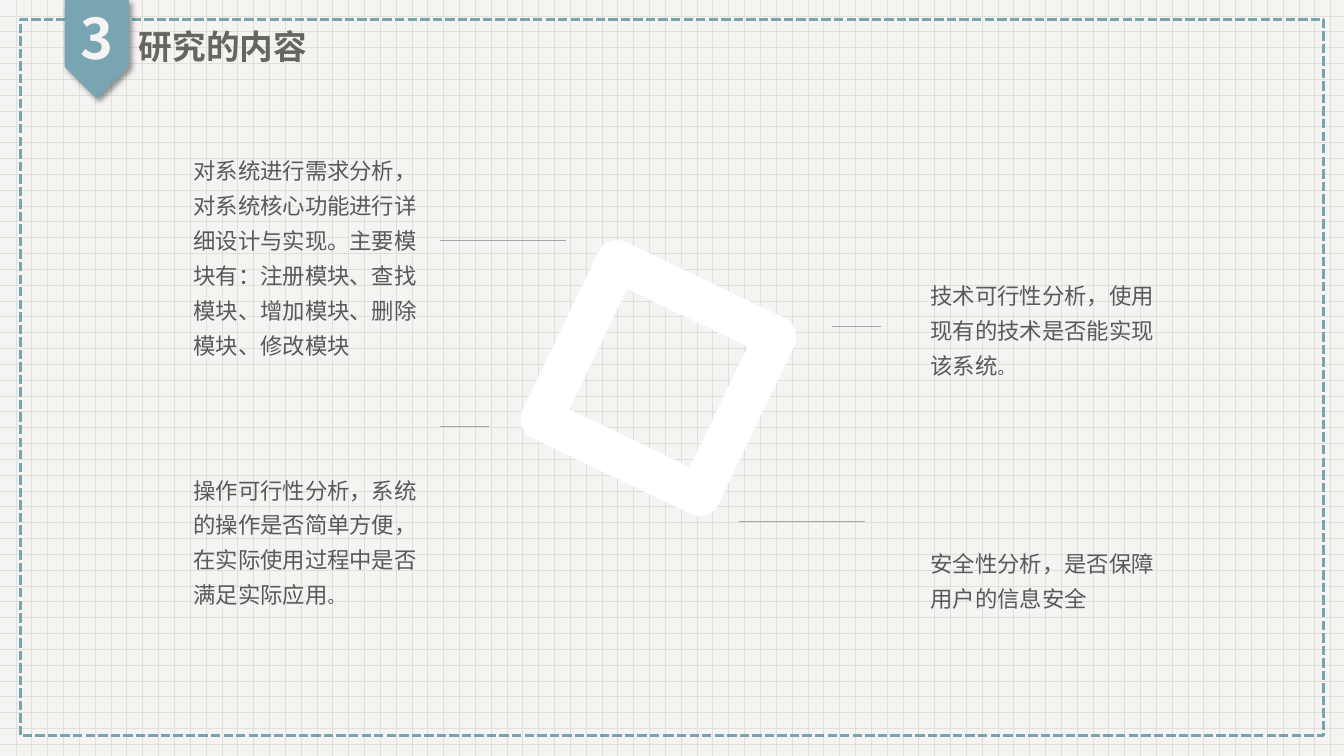
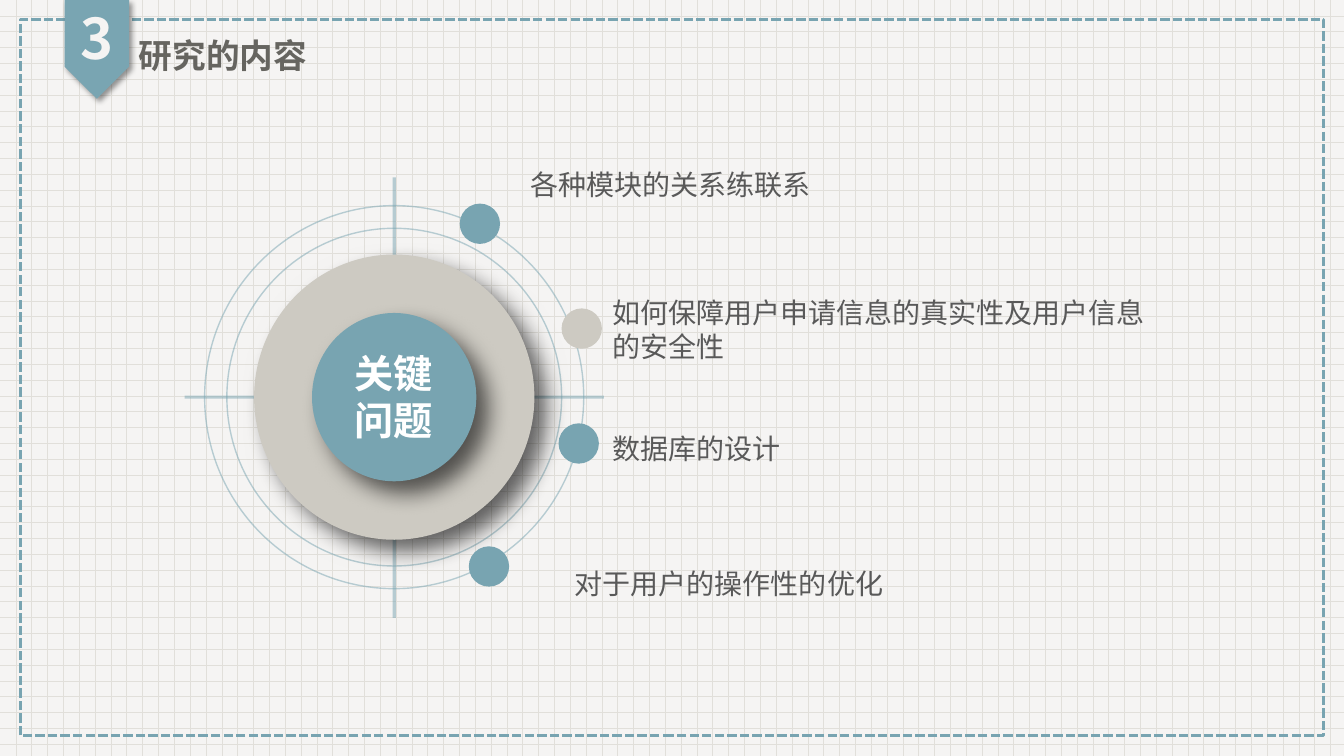
import math

import lxml.etree
import pptx
import pptx.dml.color
import pptx.enum.dml
import pptx.enum.shapes
import pptx.enum.text
import pptx.oxml.ns
import pptx.util

Inches = pptx.util.Inches
Pt = pptx.util.Pt
SHAPE = pptx.enum.shapes.MSO_SHAPE
ALIGN = pptx.enum.text.PP_ALIGN
ANCHOR = pptx.enum.text.MSO_ANCHOR
qn = pptx.oxml.ns.qn

FONT = "Noto Sans CJK SC"
COLORS = {
    "paper": "F5F4F3",
    "grid": "E1DFDA",
    "teal": "78A4B1",
    "ribbon": "79A5B2",
    "stone": "CDCAC2",
    "title": "666560",
    "body": "595959",
    "leader": "A6A6A6",
    "white": "FFFFFF",
}

# Text styles: font values, paragraph values and frame values
CENTERED = {"alignment": ALIGN.CENTER}
GROW = {"auto_size": pptx.enum.text.MSO_AUTO_SIZE.SHAPE_TO_FIT_TEXT}
MIDDLE = {"vertical_anchor": ANCHOR.MIDDLE}
SLIM = {"margin_left": Inches(0.08), "margin_right": Inches(0.08),
        "margin_top": Inches(0.04), "margin_bottom": Inches(0.04)}
STYLES = {
    "number": ("paper", {"size": Pt(40), "bold": True},
               {"line_spacing": 0.9, **CENTERED}, MIDDLE),
    "title": ("title", {"size": Pt(24), "bold": True},
              {"line_spacing": 0.9}, MIDDLE),
    "note": ("body", {"size": Pt(16)}, {"line_spacing": 1.3}, GROW),
    "hub": ("white", {"size": Pt(28), "bold": True}, CENTERED, GROW),
    "label": ("body", {"size": Pt(20)}, {}, GROW),
    "slim_label": ("body", {"size": Pt(20)}, {}, {**GROW, **MIDDLE, **SLIM}),
}

RIBBON_SHADOW = {"alpha": 40, "blur": 4, "distance": 3}
DISC_SHADOW = {"alpha": 60, "blur": 16, "distance": 12}


def rgb(color):
    return pptx.dml.color.RGBColor.from_string(COLORS[color])


def apply(target, values):
    for attribute, value in values.items():
        setattr(target, attribute, value)


def set_line(line, color, width, alpha=None, dash=None):
    line.color.rgb = rgb(color)
    line.width = Pt(width)
    if dash:
        line.dash_style = dash
    if alpha:
        tint = line.fill._xPr.find(".//" + qn("a:srgbClr"))
        lxml.etree.SubElement(tint, qn("a:alpha"), val=str(alpha * 1000))


def cast_shadow(shape, alpha, blur, distance):
    """Give the shape a black shadow towards the lower right."""
    effects = shape._element.spPr.find(qn("a:effectLst"))
    outer = lxml.etree.SubElement(
        effects, qn("a:outerShdw"), blurRad=str(Pt(blur)), dist=str(Pt(distance)),
        dir=str(45 * 60000), algn="tl", rotWithShape="0")
    black = lxml.etree.SubElement(outer, qn("a:srgbClr"), val="000000")
    lxml.etree.SubElement(black, qn("a:alpha"), val=str(alpha * 1000))


def add_figure(slide, kind, center, size, fill=None, line=None, shadow=None, rotation=0):
    (x, y), (width, height) = center, size
    figure = slide.shapes.add_shape(
        kind, Inches(x - width / 2), Inches(y - height / 2), Inches(width), Inches(height))
    figure.rotation = rotation
    figure.shadow.inherit = False
    if fill:
        figure.fill.solid()
        figure.fill.fore_color.rgb = rgb(fill)
    else:
        figure.fill.background()
    if line:
        set_line(figure.line, **line)
    else:
        figure.line.fill.background()
    if shadow:
        cast_shadow(figure, **shadow)
    return figure


def add_rule(slide, start, end, line):
    rule = slide.shapes.add_connector(
        pptx.enum.shapes.MSO_CONNECTOR.STRAIGHT, *map(Inches, (*start, *end)))
    set_line(rule.line, **line)
    lxml.etree.SubElement(rule._element.spPr, qn("a:effectLst"))


def add_text(slide, box, text, style, small_end=""):
    """Write one paragraph; small_end is a closing mark set at 12 pt."""
    color, font_values, paragraph_values, frame_values = STYLES[style]
    frame = slide.shapes.add_textbox(*map(Inches, box)).text_frame
    frame.word_wrap = True
    apply(frame, frame_values)
    paragraph = frame.paragraphs[0]
    apply(paragraph, paragraph_values)
    for words, changes in ((text, {}), (small_end, {"size": Pt(12)})):
        if words:
            run = paragraph.add_run()
            run.text = words
            apply(run.font, {"name": FONT, **font_values, **changes})
            run.font.color.rgb = rgb(color)
            lxml.etree.SubElement(run._r.get_or_add_rPr(), qn("a:ea"), typeface=FONT)


def set_grid_paper(master):
    paper = master.background.fill
    paper.patterned()
    paper.pattern = pptx.enum.dml.MSO_PATTERN.DOTTED_GRID
    paper.fore_color.rgb = rgb("grid")
    paper.back_color.rgb = rgb("paper")


def add_section_slide(deck, title_top):
    """Add a slide with the dashed border, the numbered ribbon and the title."""
    slide = deck.slides.add_slide(deck.slide_layouts[6])
    add_figure(slide, SHAPE.RECTANGLE, (6.665, 3.745), (12.93, 7.11),
               line={"color": "teal", "width": 2.25,
                     "dash": pptx.enum.dml.MSO_LINE.SQUARE_DOT})
    add_figure(slide, SHAPE.PENTAGON, (0.96, 0.49), (0.98, 0.64),
               fill="ribbon", shadow=RIBBON_SHADOW, rotation=90)
    add_text(slide, (0.64, 0, 0.64, 0.82), "3", "number")
    add_text(slide, (1.28, title_top, 4.6, 0.51), "研究的内容", "title")
    return slide


def add_tilted_frame(slide, center, reach, tilt):
    """Build a square frame of four round-ended bars, each reach from the center."""
    for turn in range(4):
        angle = tilt + 90 * turn
        x = center[0] + reach * math.sin(math.radians(angle))
        y = center[1] - reach * math.cos(math.radians(angle))
        bar = add_figure(slide, SHAPE.ROUNDED_RECTANGLE, (x, y), (2.14, 0.4), fill="white",
                         line={"color": "white", "width": 1}, rotation=angle % 180)
        bar.adjustments[0] = 0.5


def add_contents(deck):
    slide = add_section_slide(deck, title_top=0.23)
    add_tilted_frame(slide, center=(6.53, 3.75), reach=0.87, tilt=25.6)

    leaders = ((4.36, 2.38, 1.25), (4.36, 4.23, 0.49), (7.33, 5.17, 1.25), (8.25, 3.24, 0.49))
    for x, y, length in leaders:
        add_rule(slide, (x, y), (x + length, y), {"color": "leader", "width": 0.5})

    left, right = 1.82, 9.13
    notes = (
        (left, 1.43, 2.17, "对系统进行需求分析，对系统核心功能进行详细设计与实现。"
                           "主要模块有：注册模块、查找模块、增加模块、删除模块、修改模块", ""),
        (left, 4.6, 1.5, "操作可行性分析，系统的操作是否简单方便，"
                         "在实际使用过程中是否满足实际应用", "。"),
        (right, 5.33, 0.77, "安全性分析，是否保障用户的信息安全", ""),
        (right, 2.67, 1.15, "技术可行性分析，使用现有的技术是否能实现该系统", "。"),
    )
    for x, y, height, text, small_end in notes:
        add_text(slide, (x, y, 2.49, height), text, "note", small_end)


def add_key_questions(deck):
    slide = add_section_slide(deck, title_top=0.32)
    hub = x, y = 3.91, 3.94

    axis = {"color": "teal", "width": 2.25, "alpha": 50}
    add_rule(slide, (x - 2.08, y), (x + 2.08, y), axis)
    add_rule(slide, (x, y - 2.18), (x, y + 2.19), axis)
    for orbit in ((3.32, 3.35), (3.76, 3.8)):
        add_figure(slide, SHAPE.OVAL, hub, orbit,
                   line={"color": "teal", "width": 1, "alpha": 50})
    for disc, color in (((2.78, 2.83), "stone"), ((1.63, 1.67), "teal")):
        add_figure(slide, SHAPE.OVAL, hub, disc, fill=color, shadow=DISC_SHADOW)
    add_text(slide, (3.25, 3.42, 1.31, 1.04), "关键问题", "hub")

    questions = (
        ((4.76, 2.22), "teal", (5.16, 1.61, 5.69, 0.44), "各种模块的关系练联系", "label"),
        ((5.77, 3.26), "stone", (5.99, 2.89, 5.45, 0.75),
         "如何保障用户申请信息的真实性及用户信息的安全性", "slim_label"),
        ((5.74, 4.4), "teal", (5.99, 4.24, 5.98, 0.42), "数据库的设计", "slim_label"),
        ((4.85, 5.62), "teal", (5.6, 5.57, 5.88, 0.44), "对于用户的操作性的优化", "label"),
    )
    for dot, color, box, text, style in questions:
        add_figure(slide, SHAPE.OVAL, dot, (0.4, 0.4), fill=color)
        add_text(slide, box, text, style)


def main():
    deck = pptx.Presentation()
    deck.slide_width, deck.slide_height = Inches(13.33), Inches(7.5)
    set_grid_paper(deck.slide_master)
    add_contents(deck)
    add_key_questions(deck)
    deck.save("out.pptx")


if __name__ == "__main__":
    main()
